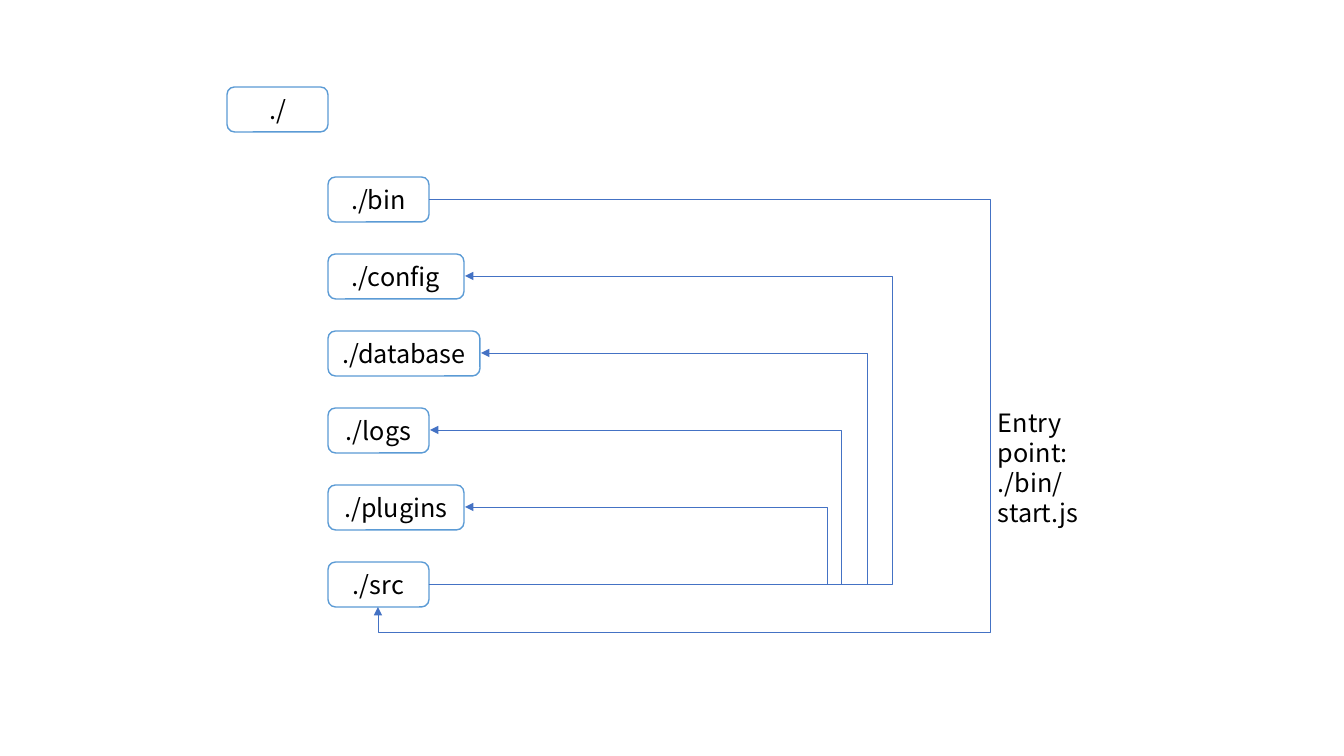
from lxml.etree import SubElement
from pptx import Presentation
from pptx.dml.color import RGBColor
from pptx.enum.shapes import MSO_CONNECTOR as Connector, MSO_SHAPE as Shape
from pptx.enum.text import MSO_ANCHOR as Anchor, PP_ALIGN as Align
from pptx.oxml.ns import qn
from pptx.util import Emu, Pt

WHITE = RGBColor(0xFF, 0xFF, 0xFF)
BLACK = RGBColor(0, 0, 0)
BOX_BLUE = RGBColor(0x5B, 0x9B, 0xD5)
ARROW_BLUE = RGBColor(0x44, 0x72, 0xC4)
FONT = "Noto Sans CJK KR"

BOX_HEIGHT = 45
NARROW, MEDIUM, WIDE = 101, 136, 152
FOLDER_LEFT, FOLDER_TOP, FOLDER_STEP = 328, 177, 77
FOLDERS = [
    ("./bin", NARROW),
    ("./config", MEDIUM),
    ("./database", WIDE),
    ("./logs", NARROW),
    ("./plugins", MEDIUM),
    ("./src", NARROW),
]
SOURCE_LANES = {"./config": 892, "./database": 868, "./logs": 845, "./plugins": 827}
ENTRY_LANE, ENTRY_TURN = 990, 632
ARROW_GAP = 1


def px(length):
    return Emu(round(length * 914400 / 100.8))


def write(frame, text, size=18, color=BLACK, align=Align.LEFT, anchor=Anchor.TOP):
    frame.word_wrap = True
    frame.vertical_anchor = anchor
    frame.text = text
    for para in frame.paragraphs:
        para.alignment = align
        para.line_spacing = Pt(size * 1.2)
        for span in para.runs:
            span.font.name = FONT
            span.font.size = Pt(size)
            span.font.color.rgb = color


def add_folder(page, name, left, top, width):
    box = page.shapes.add_shape(
        Shape.ROUNDED_RECTANGLE, px(left), px(top), px(width), px(BOX_HEIGHT))
    box.shadow.inherit = False
    box.fill.solid()
    box.fill.fore_color.rgb = WHITE
    box.line.color.rgb = BOX_BLUE
    box.line.width = Pt(1)
    write(box.text_frame, name, align=Align.CENTER, anchor=Anchor.MIDDLE)


def add_note(page, text, left, top, width, height):
    box = page.shapes.add_textbox(px(left), px(top), px(width), px(height))
    write(box.text_frame, text)


def add_bent_arrow(page, start, end, lane, turn=None):
    arrow = page.shapes.add_connector(
        Connector.ELBOW, *[px(length) for length in (*start, *end)])
    arrow.line.color.rgb = ARROW_BLUE
    arrow.line.width = Pt(0.5)
    bends = {"adj1": (lane - start[0]) / (end[0] - start[0])}
    properties = arrow._element.spPr
    geometry = properties.find(qn("a:prstGeom"))
    if turn is not None:
        geometry.set("prst", "bentConnector4")
        bends["adj2"] = (turn - start[1]) / (end[1] - start[1])
    guides = geometry.find(qn("a:avLst"))
    for name, share in bends.items():
        SubElement(guides, qn("a:gd"), name=name, fmla=f"val {round(share * 100000)}")
    SubElement(properties.find(qn("a:ln")), qn("a:tailEnd"), type="triangle")
    SubElement(properties, qn("a:effectLst"))


def main():
    deck = Presentation()
    deck.slide_width, deck.slide_height = px(1344), px(756)
    page = deck.slides.add_slide(deck.slide_layouts[6])

    add_folder(page, "./", 227, 87, NARROW)
    right_ends = {}
    for row, (name, width) in enumerate(FOLDERS):
        top = FOLDER_TOP + row * FOLDER_STEP
        add_folder(page, name, FOLDER_LEFT, top, width)
        right_ends[name] = (FOLDER_LEFT + width, top + BOX_HEIGHT // 2)

    add_note(page, "Entry point:\n./bin/start.js", 988, 402, 156, 72)

    source = right_ends["./src"]
    source_bottom = (FOLDER_LEFT + NARROW // 2, top + BOX_HEIGHT)
    add_bent_arrow(page, right_ends["./bin"], source_bottom, ENTRY_LANE, ENTRY_TURN)
    for name, lane in SOURCE_LANES.items():
        right, middle = right_ends[name]
        add_bent_arrow(page, source, (right + ARROW_GAP, middle), lane)

    deck.save("out.pptx")


main()
